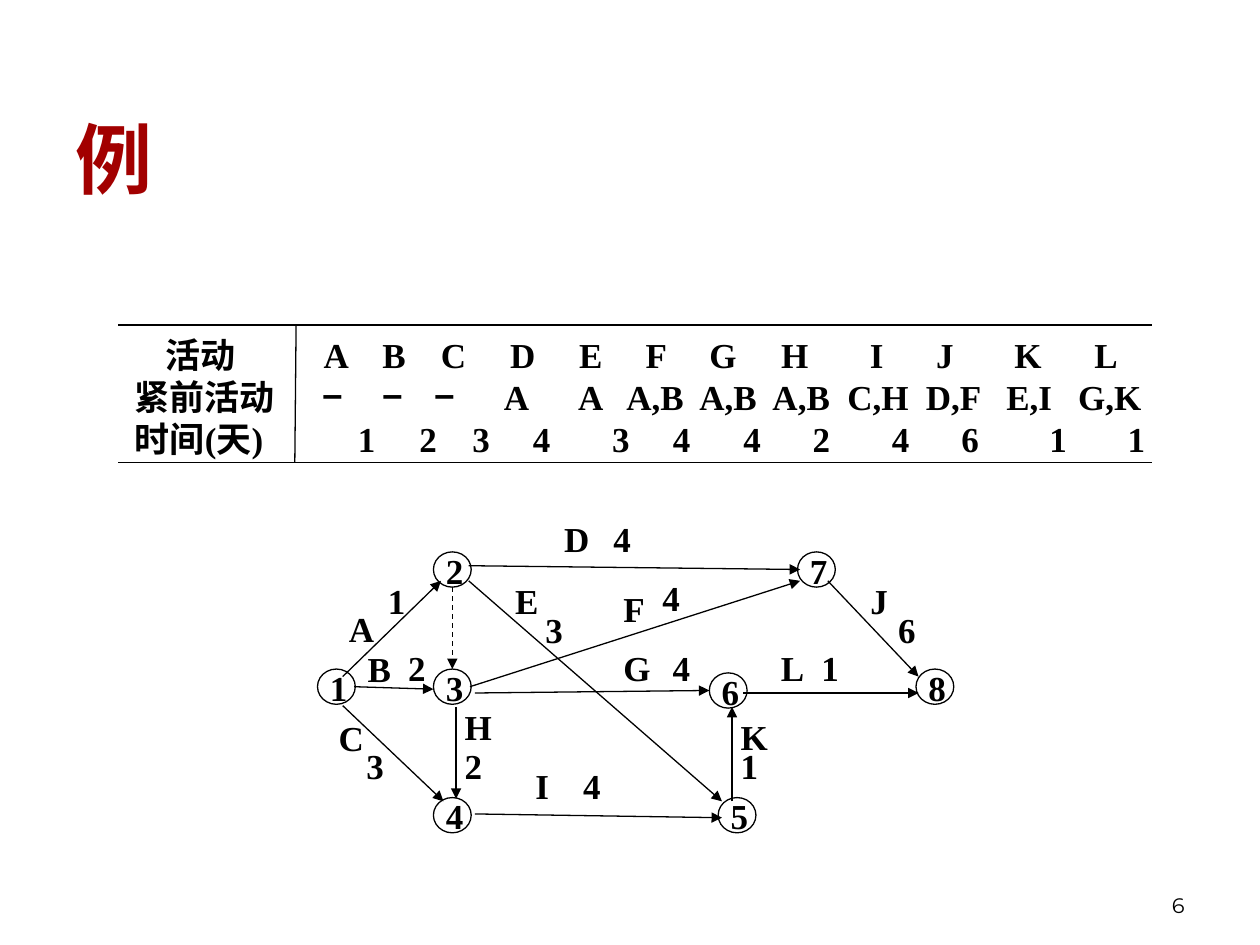
import pptx
import pptx.dml.color
import pptx.enum.dml
import pptx.enum.shapes
import pptx.enum.text
import pptx.oxml
import pptx.oxml.ns
import pptx.util

BLACK = pptx.dml.color.RGBColor(0x00, 0x00, 0x00)
DARK_RED = pptx.dml.color.RGBColor(0xA2, 0x00, 0x00)
ALIGN = pptx.enum.text.PP_ALIGN
ANCHOR = pptx.enum.text.MSO_ANCHOR
DASH = pptx.enum.dml.MSO_LINE.DASH
COLUMNS, ROWS = 100, 75

BODY = {"name": "Times New Roman", "size": pptx.util.Pt(20), "bold": True}
TITLE = {"name": "Arial", "size": pptx.util.Pt(44), "bold": True}
NUMBER = {"name": "Montserrat", "size": pptx.util.Pt(12), "bold": False}

ACTIVITY_ROWS = [
    ("\t活动\tA\tB\tC\tD\tE\tF\tG\tH\tI\tJ\tK\tL",
     [5.2, 16, 20.6, 25.3, 30.8, 36.2, 41.4, 46.7, 52.4, 58.9, 64.3, 70.9, 77.1]),
    ("紧前活动\t−\t−\t−\tA\tA\tA,B\tA,B\tA,B\tC,H\tD,F\tE,I\tG,K",
     [15.7, 20.5, 24.6, 30.3, 36.2, 41.3, 47.1, 52.9, 59, 65, 71, 77.4]),
    ("时间(天)\t1\t2\t3\t4\t3\t4\t4\t2\t4\t6\t1\t1",
     [18.4, 23.3, 27.5, 32.3, 38.6, 43.4, 49, 54.5, 60.8, 66.3, 73.3, 79.5]),
]
RULES = [
    ((9.4, 36.7), (91.4, 36.7)),
    ((23.5, 25.8), (23.4, 36.7)),
    ((9.4, 25.8), (91.4, 25.8)),
]
ARROWS = [
    ((27.2, 53.7), (35, 46.1)),
    ((28.1, 54.5), (34.4, 54.7)),
    ((27.2, 56), (35.2, 63.6)),
    ((36.2, 56.1), (36.2, 63.4)),
    ((37.2, 44.9), (63.5, 45.2)),
    ((37.2, 46.1), (57.3, 63.6)),
    ((37.3, 54.5), (63.5, 46.1)),
    ((37.7, 55), (56.3, 54.8)),
    ((37.7, 64.6), (57.3, 64.9)),
    ((58.1, 63.6), (58.1, 56.1)),
    ((65.7, 46.1), (72.9, 53.7)),
    ((59, 55), (72.9, 55)),
]
DUMMY_ACTIVITY = ((35.9, 46.6), (35.9, 53.1))
EVENTS = {
    "1": (25.2, 53.1), "2": (34.4, 43.8), "3": (34.4, 53.1), "4": (34.4, 63.3),
    "5": (57, 63.3), "6": (56.3, 53.4), "7": (63.3, 43.8), "8": (72.7, 53.1),
}
ACTIVITIES = [
    ("A", (26.7, 47.7), "1", (29.8, 45.5)),
    ("B", (28.2, 50.9), "2", (31.4, 50.8)),
    ("C", (25.9, 56.4), "3", (28.1, 58.6)),
    ("D", (43.8, 40.6), "4", (47.7, 40.6)),
    ("E", (39.9, 45.5), "3", (42.3, 47.8)),
    ("F", (48.5, 46.1), "4", (51.6, 45.3)),
    ("G", (48.5, 50.8), "4", (52.4, 50.8)),
    ("H", (35.9, 55.5), "2", (35.9, 58.6)),
    ("I", (41.5, 60.2), "4", (45.3, 60.2)),
    ("J", (68.1, 45.5), "6", (70.3, 47.8)),
    ("K", (57.8, 56.3), "1", (57.8, 58.6)),
    ("L", (61, 50.8), "1", (64.2, 50.8)),
]


class NetworkSlide:
    """Draws text, rules, arrows and event circles on a grid of columns and rows."""

    def __init__(self, deck):
        self.slide = deck.slides.add_slide(deck.slide_layouts[6])
        self.column = deck.slide_width / COLUMNS
        self.row = deck.slide_height / ROWS

    def place(self, column, row):
        return round(column * self.column), round(row * self.row)

    def text(self, at, size, lines, style=BODY, color=BLACK, align=ALIGN.JUSTIFY, anchor=ANCHOR.TOP):
        box = self.slide.shapes.add_textbox(*self.place(*at), *self.place(*size))
        frame = box.text_frame
        frame.word_wrap = True
        frame.vertical_anchor = anchor
        for index, line in enumerate(lines):
            paragraph = frame.paragraphs[0] if index == 0 else frame.add_paragraph()
            paragraph.alignment = align
            run = paragraph.add_run()
            run.text = line
            for attribute, value in style.items():
                setattr(run.font, attribute, value)
            run.font.color.rgb = color
        return frame

    def tabbed_text(self, at, size, rows):
        frame = self.text(at, size, [line for line, _ in rows])
        for paragraph, (_, stops) in zip(frame.paragraphs, rows):
            paragraph.line_spacing = pptx.util.Pt(24)
            tabs = pptx.oxml.parse_xml(f"<a:tabLst {pptx.oxml.ns.nsdecls('a')}/>")
            for stop in stops:
                tab = tabs.makeelement(pptx.oxml.ns.qn("a:tab"),
                                       {"pos": str(round(stop * self.column)), "algn": "ctr"})
                tabs.append(tab)
            paragraph._p.get_or_add_pPr().append(tabs)

    def outline(self, shape):
        shape.line.color.rgb = BLACK
        shape.line.width = pptx.util.Pt(0.75)

    def rule(self, start, end):
        connector = self.slide.shapes.add_connector(
            pptx.enum.shapes.MSO_CONNECTOR.STRAIGHT, *self.place(*start), *self.place(*end))
        self.outline(connector)
        connector._element.spPr.append(
            pptx.oxml.parse_xml(f"<a:effectLst {pptx.oxml.ns.nsdecls('a')}/>"))
        return connector

    def arrow(self, start, end, dash=None):
        line = self.rule(start, end).line
        line.dash_style = dash
        line._get_or_add_ln().append(
            pptx.oxml.parse_xml(f'<a:tailEnd {pptx.oxml.ns.nsdecls("a")} type="triangle"/>'))

    def event(self, number, at):
        circle = self.slide.shapes.add_shape(
            pptx.enum.shapes.MSO_SHAPE.OVAL, *self.place(*at), *self.place(3, 2.8))
        circle.shadow.inherit = False
        circle.fill.background()
        self.outline(circle)
        self.label(number, (at[0], at[1] - 0.7))

    def label(self, symbol, at):
        self.text(at, (3, 3.7), [symbol])


def main():
    deck = pptx.Presentation()
    deck.slide_width = pptx.util.Inches(10)
    deck.slide_height = pptx.util.Inches(7.5)
    network = NetworkSlide(deck)
    network.text((5, 5), (90, 15), ["例"], TITLE, DARK_RED, ALIGN.LEFT, ANCHOR.MIDDLE)
    network.text((71.7, 68.3), (23.3, 5), ["6"], NUMBER, BLACK, ALIGN.RIGHT, ANCHOR.BOTTOM)
    network.tabbed_text((9.7, 26), (82.5, 10.7), ACTIVITY_ROWS)
    for start, end in RULES:
        network.rule(start, end)
    for start, end in ARROWS:
        network.arrow(start, end)
    network.arrow(*DUMMY_ACTIVITY, DASH)
    for number, at in EVENTS.items():
        network.event(number, at)
    for activity, activity_at, days, days_at in ACTIVITIES:
        network.label(activity, activity_at)
        network.label(days, days_at)
    deck.save("out.pptx")


if __name__ == "__main__":
    main()
